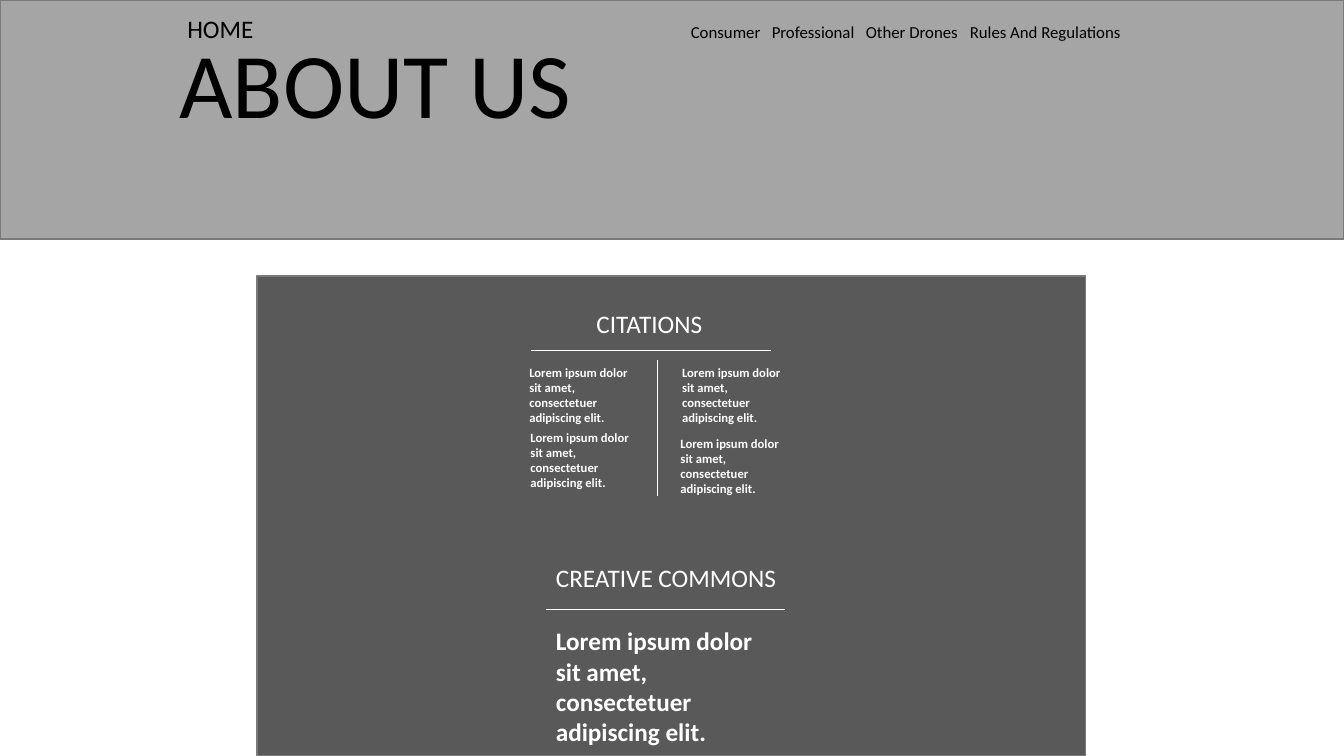
"""Build the About Us slide with its header, citations and creative commons sections."""
import pptx
import pptx.dml.color
import pptx.enum.shapes
import pptx.enum.text
import pptx.oxml.ns
import pptx.util
from pptx.util import Cm
import lxml.etree

LOREM = "Lorem ipsum dolor sit amet, consectetuer adipiscing elit."
NAVIGATION = ["Consumer", "Professional", "Other Drones", "Rules And Regulations"]
NAVIGATION_STOPS = [12.69, 14.73, 17.1, 19.72]


def colour(value):
    return pptx.dml.color.RGBColor.from_string(value)


def write(para, text, size=18, ink="FFFFFF", bold=False, font="Calibri"):
    span = para.add_run()
    span.text = text
    span.font.name = font
    span.font.size = pptx.util.Pt(size)
    span.font.bold = bold
    span.font.color.rgb = colour(ink)


def add_tab_stops(para, stops):
    properties = para._p.get_or_add_pPr()
    tab_list = lxml.etree.SubElement(properties, pptx.oxml.ns.qn("a:tabLst"))
    for stop in stops:
        tab = lxml.etree.SubElement(tab_list, pptx.oxml.ns.qn("a:tab"))
        tab.set("pos", str(int(Cm(stop))))
        tab.set("algn", "l")


class Page:
    dark = "000000"
    light = "FFFFFF"
    border = "7A7A7A"

    def __init__(self, deck):
        self.slide = deck.slides.add_slide(deck.slide_layouts[5])
        self.shapes = self.slide.shapes

    def panel(self, left, top, width, height, fill):
        box = self.shapes.add_shape(
            pptx.enum.shapes.MSO_SHAPE.RECTANGLE,
            Cm(left), Cm(top), Cm(width), Cm(height))
        box.shadow.inherit = False
        box.fill.solid()
        box.fill.fore_color.rgb = colour(fill)
        box.line.color.rgb = colour(self.border)
        box.line.width = pptx.util.Pt(1)

    def rule(self, left, top, right, bottom):
        line = self.shapes.add_connector(
            pptx.enum.shapes.MSO_CONNECTOR.STRAIGHT,
            Cm(left), Cm(top), Cm(right), Cm(bottom))
        line.line.color.rgb = colour(self.light)
        line.line.width = pptx.util.Pt(0.5)
        lxml.etree.SubElement(line.element.spPr, pptx.oxml.ns.qn("a:effectLst"))

    def frame(self, box):
        frame = box.text_frame
        frame.word_wrap = True
        frame.auto_size = pptx.enum.text.MSO_AUTO_SIZE.NONE
        frame.vertical_anchor = pptx.enum.text.MSO_ANCHOR.TOP
        para = frame.paragraphs[0]
        para.alignment = pptx.enum.text.PP_ALIGN.LEFT
        return para

    def text(self, left, top, width, height, text="", **style):
        box = self.shapes.add_textbox(Cm(left), Cm(top), Cm(width), Cm(height))
        para = self.frame(box)
        if text:
            write(para, text, **style)
        return para

    def title(self, left, top, width, height, text, **style):
        box = self.shapes.title
        box.left, box.top, box.width, box.height = Cm(left), Cm(top), Cm(width), Cm(height)
        box.element.getparent().append(box.element)
        write(self.frame(box), text, ink=self.dark, **style)

    def navigation(self, left, top, width, height, home, links):
        para = self.text(left, top, width, height)
        add_tab_stops(para, NAVIGATION_STOPS)
        write(para, home, ink=self.dark)
        for link in links:
            write(para, "\t" + link, size=12, ink=self.dark)


deck = pptx.Presentation()
deck.slide_width, deck.slide_height = Cm(33.87), Cm(19.05)
page = Page(deck)

page.panel(0, 0, 33.87, 6.02, "A5A5A5")
page.navigation(4.47, 0.2, 25.12, 1.02, "HOME", NAVIGATION)
page.title(4.27, 0.53, 20.14, 3.07, "ABOUT US", size=66)

page.panel(6.48, 6.96, 20.88, 12.09, "595959")
page.text(14.78, 7.65, 3.25, 1.02, "CITATIONS")
page.rule(13.39, 8.82, 19.43, 8.82)
page.rule(16.56, 9.07, 16.56, 12.5)
for left, top in [(13.09, 9.07), (16.94, 9.07), (13.12, 10.7), (16.9, 10.85)]:
    page.text(left, top, 3.19, 1.8, LOREM, size=9, bold=True)

page.text(13.76, 14.05, 6.35, 1.02, "CREATIVE COMMONS")
page.rule(13.76, 15.36, 19.78, 15.36)
page.text(13.76, 15.64, 6.02, 3.33, LOREM, bold=True)

deck.save("out.pptx")
